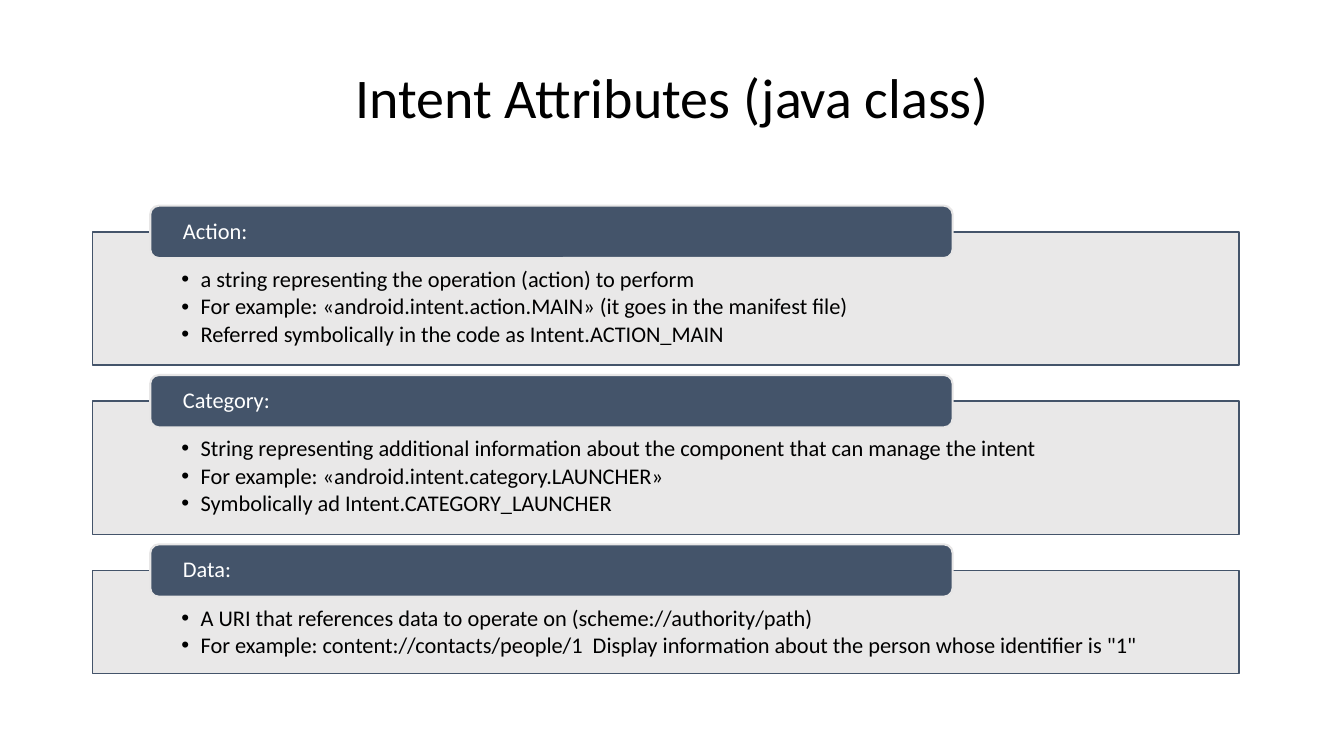
import pptx
import pptx.util
import pptx.dml.color
import pptx.enum.shapes
import pptx.enum.text
import pptx.oxml.ns
from lxml import etree

Inches = pptx.util.Inches
Pt = pptx.util.Pt
Shape = pptx.enum.shapes.MSO_SHAPE
Align = pptx.enum.text.PP_ALIGN
Anchor = pptx.enum.text.MSO_ANCHOR

NAVY, GREY, WHITE, BLACK = "44546A", "E7E6E6", "FFFFFF", "000000"
GAP = 0.36
CARDS = [
    ("Action:", 1.32, [
        "a string representing the operation (action) to perform",
        "For example: «android.intent.action.MAIN» (it goes in the manifest file)",
        "Referred symbolically in the code as Intent.ACTION_MAIN",
    ]),
    ("Category:", 1.32, [
        "String representing additional information about the component that can manage the intent",
        "For example: «android.intent.category.LAUNCHER»",
        "Symbolically ad Intent.CATEGORY_LAUNCHER",
    ]),
    ("Data:", 1.02, [
        "A URI that references data to operate on (scheme://authority/path)",
        "For example: content://contacts/people/1  Display information about the person whose identifier is \"1\"",
    ]),
]


def color(text):
    return pptx.dml.color.RGBColor.from_string(text)


def node(owner, tag, **attrs):
    return etree.SubElement(owner, pptx.oxml.ns.qn(tag), attrs)


def add_box(slide, kind, box, fill, line, width):
    shape = slide.shapes.add_shape(kind, *map(Inches, box))
    shape.shadow.inherit = False
    shape.fill.solid()
    shape.fill.fore_color.rgb = color(fill)
    shape.line.color.rgb = color(line)
    shape.line.width = Pt(width)
    return shape


def set_frame(shape, anchor, insets):
    frame = shape.text_frame
    frame.word_wrap = True
    frame.vertical_anchor = anchor
    (frame.margin_left, frame.margin_top,
     frame.margin_right, frame.margin_bottom) = map(Inches, insets)
    return frame


def write(para, text, size, ink, align=Align.LEFT, after=0):
    para.alignment = align
    para.line_spacing = 0.9
    para.space_after = Pt(after)
    run = para.add_run()
    run.text = text
    run.font.size = Pt(size)
    run.font.name = "Calibri"
    run.font.color.rgb = color(ink)


def add_bullet(para):
    props = para._p.get_or_add_pPr()
    indent = Inches(0.19)
    props.set("marL", str(indent))
    props.set("indent", str(-indent))
    node(props, "a:buFont", typeface="Arial")
    node(props, "a:buChar", char="•")


def add_title(slide, box, text):
    title = slide.shapes.add_textbox(*map(Inches, box))
    frame = set_frame(title, Anchor.MIDDLE, (0.1, 0.05, 0.1, 0.05))
    write(frame.paragraphs[0], text, 40, BLACK, Align.CENTER)


def add_card(slide, box, label, items):
    left, top, width, height = box
    panel = add_box(slide, Shape.RECTANGLE, box, GREY, NAVY, 1)
    tint = panel.fill._xPr.find(".//" + pptx.oxml.ns.qn("a:srgbClr"))
    node(tint, "a:alpha", val="90000")
    frame = set_frame(panel, Anchor.TOP, (0.88, 0.36, 0.88, 0.12))
    for index, item in enumerate(items):
        para = frame.add_paragraph() if index else frame.paragraphs[0]
        write(para, item, 16, BLACK, after=2.4)
        add_bullet(para)

    tab = add_box(slide, Shape.ROUNDED_RECTANGLE,
                  (left + 0.57, top - 0.26, width * 0.7, 0.52),
                  NAVY, GREY, 1.5)
    frame = set_frame(tab, Anchor.MIDDLE, (0.3, 0, 0.3, 0))
    write(frame.paragraphs[0], label, 16, WHITE)


def main():
    deck = pptx.Presentation()
    deck.slide_width = Inches(13.33)
    deck.slide_height = Inches(7.5)
    slide = deck.slides.add_slide(deck.slide_layouts[6])
    add_title(slide, (0.92, 0.19, 11.5, 1.62), "Intent Attributes (java class)")
    top = 2.3
    for label, height, items in CARDS:
        add_card(slide, (0.92, top, 11.37, height), label, items)
        top += height + GAP
    deck.save("out.pptx")


if __name__ == "__main__":
    main()
